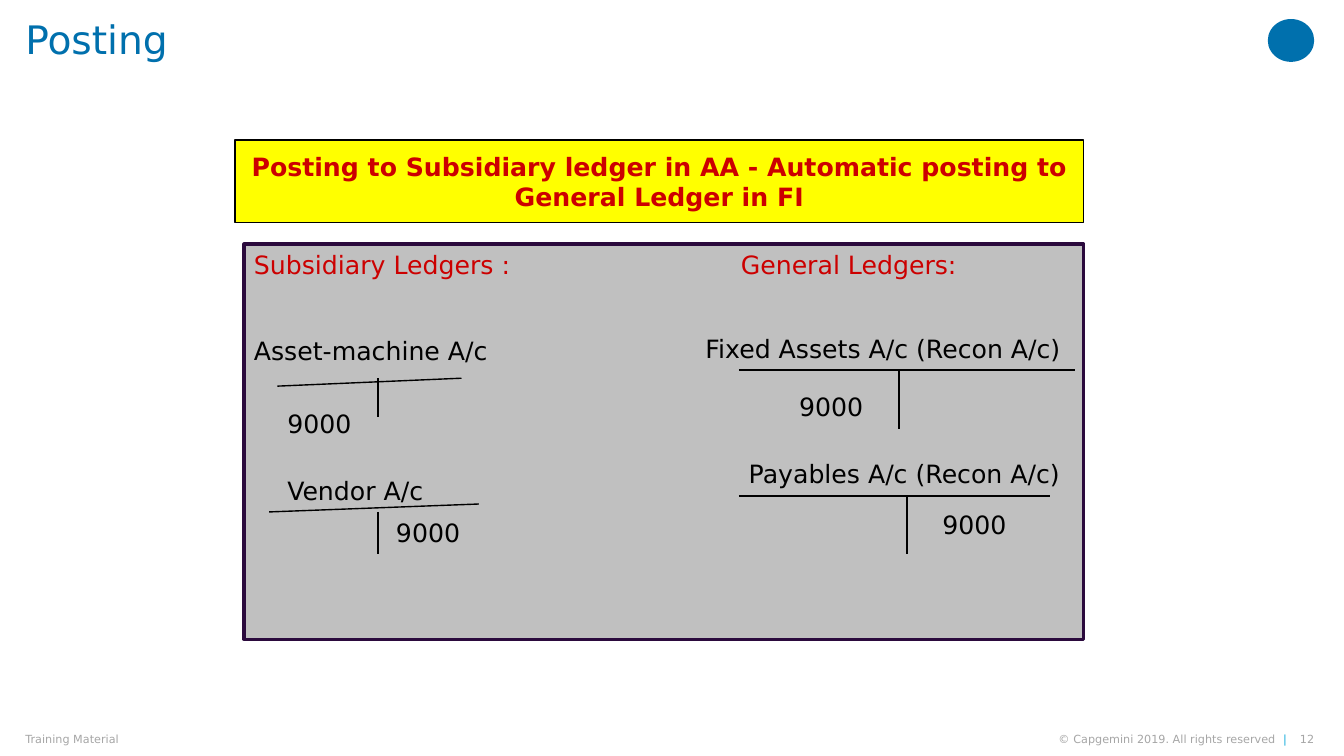
from dataclasses import dataclass

from lxml.etree import SubElement
from pptx import Presentation
from pptx.dml.color import RGBColor
from pptx.enum.shapes import MSO_CONNECTOR, MSO_SHAPE
from pptx.enum.text import MSO_ANCHOR as Anchor, PP_ALIGN as Align
from pptx.oxml.ns import qn
from pptx.shapes.autoshape import Shape
from pptx.slide import Slide
from pptx.util import Cm, Pt


@dataclass(frozen=True)
class Theme:
    font: str = "DejaVu Sans"
    blue: str = "0070AD"
    cyan: str = "12ABDB"
    red: str = "CC0000"
    black: str = "000000"
    yellow: str = "FFFF00"
    panel: str = "C0C0C0"
    border: str = "2B0A3D"
    muted: str = "A6A6A6"
    title_size: int = 28
    body_size: int = 18
    footer_size: int = 8


@dataclass(frozen=True)
class Label:
    text: str
    left: float
    top: float
    width: float
    height: float = 1.02
    color: str = Theme.black
    size: int = Theme.body_size
    align: Align = Align.LEFT
    anchor: Anchor = Anchor.TOP
    insets: tuple[float, float] = (0.25, 0.13)  # side, top and bottom
    wrap: bool = True


@dataclass(frozen=True)
class Line:
    x1: float
    y1: float
    x2: float
    y2: float
    arrow: bool = False


@dataclass(frozen=True)
class TAccount:
    name: Label
    amount: Label
    bar: Line
    stem: Line


THEME = Theme()
FOOTER = dict(top=18.47, height=0.33, color=THEME.muted, size=THEME.footer_size,
              anchor=Anchor.MIDDLE, insets=(0, 0))

HEADINGS = [
    Label("Subsidiary Ledgers :", 6.15, 6.15, 7.19, color=THEME.red),
    Label("General Ledgers:", 18.42, 6.15, 6.12, color=THEME.red),
]
ACCOUNTS = [
    TAccount(Label("Asset-machine A/c", 6.15, 8.31, 6.78), Label("9000", 6.99, 10.16, 2.34),
             Line(6.99, 9.73, 11.63, 9.53), Line(9.53, 9.53, 9.53, 10.52)),
    TAccount(Label("Vendor A/c", 6.99, 11.86, 4.45), Label("9000", 9.73, 12.9, 2.39),
             Line(6.78, 12.9, 12.07, 12.7), Line(9.53, 12.9, 9.53, 13.97)),
    TAccount(Label("Fixed Assets A/c (Recon A/c)", 17.53, 8.26, 9.93),
             Label("9000", 19.89, 9.73, 2.34),
             Line(18.62, 9.32, 27.1, 9.32), Line(22.66, 9.32, 22.66, 10.8)),
    TAccount(Label("Payables A/c (Recon A/c)", 18.62, 11.43, 8.71),
             Label("9000", 23.5, 12.7, 2.24),
             Line(18.62, 12.5, 26.47, 12.5), Line(22.86, 12.5, 22.86, 13.97)),
]


def rgb(color: str) -> RGBColor:
    return RGBColor.from_string(color)


def write(sp: Shape, label: Label, bold: bool = False) -> None:
    tf = sp.text_frame
    tf.word_wrap = label.wrap
    tf.vertical_anchor = label.anchor
    side, edge = label.insets
    tf.margin_left = tf.margin_right = Cm(side)
    tf.margin_top = tf.margin_bottom = Cm(edge)
    p = tf.paragraphs[0]
    p.alignment = label.align
    p.add_run().text = label.text
    p.font.name, p.font.size, p.font.bold = THEME.font, Pt(label.size), bold
    p.font.color.rgb = rgb(label.color)


def add_label(s: Slide, label: Label) -> Shape:
    sp = s.shapes.add_textbox(Cm(label.left), Cm(label.top), Cm(label.width), Cm(label.height))
    write(sp, label)
    return sp


def add_block(s: Slide, kind: MSO_SHAPE, left: float, top: float, width: float, height: float,
              fill: str, line: str = "", weight: float = 1) -> Shape:
    sp = s.shapes.add_shape(kind, Cm(left), Cm(top), Cm(width), Cm(height))
    sp.shadow.inherit = False
    sp.fill.solid()
    sp.fill.fore_color.rgb = rgb(fill)
    if line:
        sp.line.color.rgb = rgb(line)
        sp.line.width = Pt(weight)
    else:
        sp.line.fill.background()
    return sp


def add_line(s: Slide, line: Line) -> None:
    cxn = s.shapes.add_connector(MSO_CONNECTOR.STRAIGHT, Cm(line.x1), Cm(line.y1),
                                 Cm(line.x2), Cm(line.y2))
    cxn.line.color.rgb = rgb(THEME.black)
    cxn.line.width = Pt(1)
    if line.arrow:
        SubElement(cxn.line._get_or_add_ln(), qn("a:tailEnd"), type="triangle")
    SubElement(cxn._element.spPr, qn("a:effectLst"))


def add_account(s: Slide, account: TAccount) -> None:
    for label in (account.name, account.amount):
        add_label(s, label)
    for line in (account.bar, account.stem):
        add_line(s, line)


def main() -> None:
    prs = Presentation()
    prs.slide_width, prs.slide_height = Cm(33.87), Cm(19.05)
    s = prs.slides.add_slide(prs.slide_layouts[6])

    # Corner mark and footer
    add_block(s, MSO_SHAPE.OVAL, 31.95, 0.48, 1.17, 1.08, THEME.blue)
    add_label(s, Label("12", 32.64, width=0.48, align=Align.RIGHT, wrap=False, **FOOTER))
    notice = add_label(s, Label("© Capgemini 2019. All rights reserved  ", 25.04, width=7.39,
                                align=Align.RIGHT, **FOOTER))
    r = notice.text_frame.paragraphs[0].add_run()
    r.text = "|"
    r.font.color.rgb = rgb(THEME.cyan)
    add_label(s, Label("Training Material", 0.64, width=13.11, wrap=False, **FOOTER))

    # Title
    title = add_label(s, Label("Posting", 0.64, 0, 30.91, 2.01, THEME.blue, THEME.title_size,
                               insets=(0, 0)))
    title.text_frame.margin_top = Cm(0.51)
    title.text_frame.paragraphs[0].line_spacing = 0.9

    # Ledger panel and banner
    add_block(s, MSO_SHAPE.RECTANGLE, 6.15, 6.15, 21.16, 9.96, THEME.panel, THEME.border, 2.25)
    message = Label("Posting to Subsidiary ledger in AA - Automatic posting to General Ledger in FI",
                    5.92, 3.53, 21.39, 2.08, THEME.red, align=Align.CENTER, anchor=Anchor.MIDDLE)
    banner = add_block(s, MSO_SHAPE.RECTANGLE, message.left, message.top, message.width,
                       message.height, THEME.yellow, THEME.black)
    write(banner, message, bold=True)

    # Ledgers with their T-accounts
    for heading in HEADINGS:
        add_label(s, heading)
    for account in ACCOUNTS:
        add_account(s, account)
    add_line(s, Line(9.53, 9.32, 9.53, 9.32, arrow=True))

    prs.save("out.pptx")


if __name__ == "__main__":
    main()
